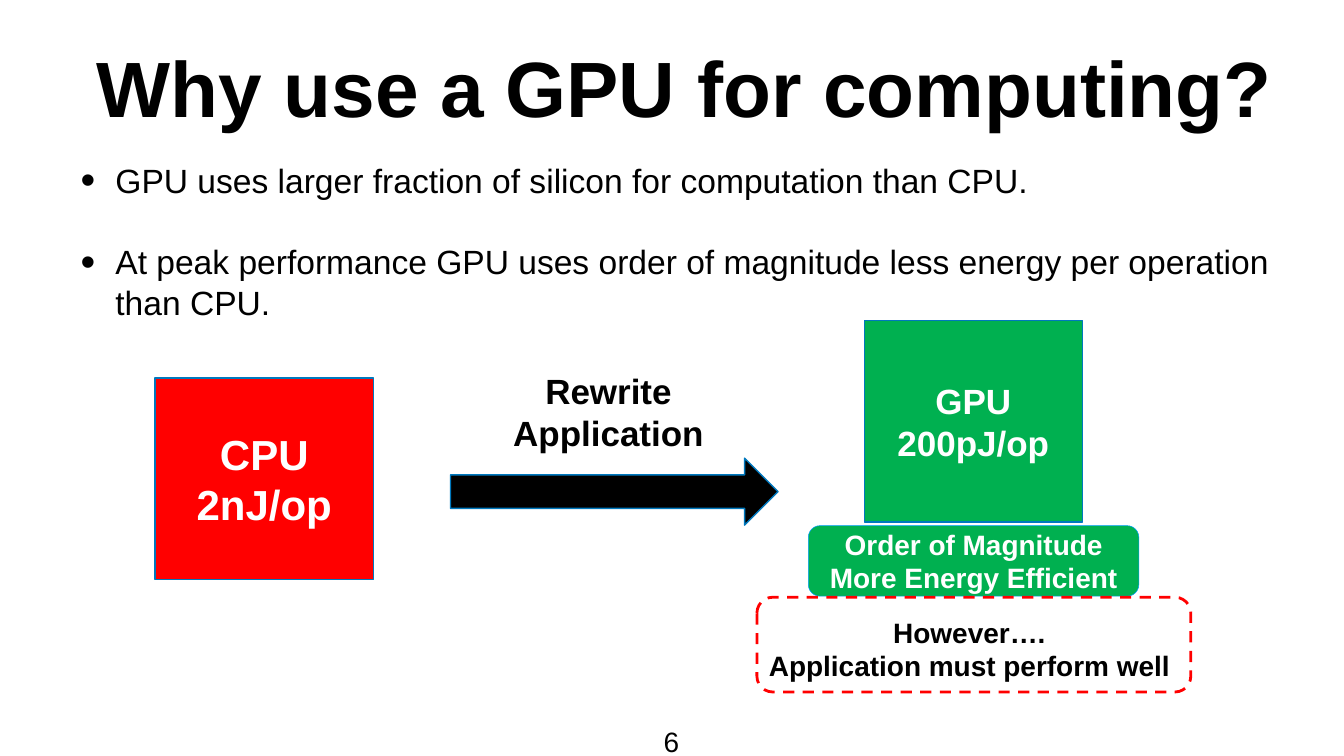
from dataclasses import dataclass
from typing import Optional

from lxml.etree import SubElement
from pptx import Presentation
from pptx.dml.color import RGBColor
from pptx.enum.dml import MSO_LINE
from pptx.enum.shapes import MSO_SHAPE
from pptx.enum.text import MSO_ANCHOR, MSO_AUTO_SIZE, PP_ALIGN
from pptx.oxml.ns import qn
from pptx.util import Inches, Pt

BLACK, WHITE, RED, GREEN = "000000", "FFFFFF", "FF0000", "00B050"
EDGE_BLUE, LIGHT_BLUE = "0078BD", "009EF9"
FONT = "Arial"
SMALL_INSET = 0.06
BULLET_INDENT = 0.69


@dataclass
class Box:
    left: float
    top: float
    width: float
    height: float


@dataclass
class Block:
    preset: MSO_SHAPE
    box: Box
    fill: Optional[str]
    line: str
    line_width: float
    text: str = ""
    size: float = 40
    dashed: bool = False


@dataclass
class Label:
    box: Box
    text: str
    size: float = 40
    bold: bool = True
    wrap: bool = True
    inset: Optional[float] = None


BLOCKS = [
    Block(MSO_SHAPE.RECTANGLE, Box(3.08, 7.5, 4.33, 4), RED, EDGE_BLUE, 2, "CPU\n2nJ/op", 60),
    Block(MSO_SHAPE.RECTANGLE, Box(17.15, 6.36, 4.33, 4), GREEN, EDGE_BLUE, 2, "GPU\n200pJ/op", 50),
    Block(MSO_SHAPE.RIGHT_ARROW, Box(8.94, 9.09, 6.5, 1.33), BLACK, EDGE_BLUE, 2),
    Block(MSO_SHAPE.ROUNDED_RECTANGLE, Box(16.04, 10.43, 6.56, 1.4), GREEN, LIGHT_BLUE, 0.75,
          "Order of Magnitude More Energy Efficient"),
    Block(MSO_SHAPE.ROUNDED_RECTANGLE, Box(15.02, 11.85, 8.61, 1.88), None, RED, 4, dashed=True),
]

LABELS = [
    Label(Box(13.11, 14.31, 0.42, 0.79), "6", bold=False, wrap=False, inset=SMALL_INSET),
    Label(Box(9.17, 7.29, 5.81, 1.78), "Rewrite Application", 50),
    Label(Box(14.89, 12.16, 8.69, 1.45), "However….\nApplication must perform well"),
]

BULLETS = [
    "GPU uses larger fraction of silicon for computation than CPU.",
    "At peak performance GPU uses order of magnitude less energy per operation than CPU.",
]


def color(value: str) -> RGBColor:
    return RGBColor.from_string(value)


def place(shape, box: Box) -> None:
    shape.left, shape.top = Inches(box.left), Inches(box.top)
    shape.width, shape.height = Inches(box.width), Inches(box.height)


def set_insets(text_frame, inset: float) -> None:
    text_frame.margin_left = text_frame.margin_right = Inches(inset)
    text_frame.margin_top = text_frame.margin_bottom = Inches(inset)


def format_text(text_frame, size: float, text_color: str, bold: bool, alignment: PP_ALIGN) -> None:
    for paragraph in text_frame.paragraphs:
        paragraph.alignment = alignment
        for run in paragraph.runs:
            run.font.name = FONT
            run.font.size = Pt(size)
            run.font.bold = bold
            run.font.color.rgb = color(text_color)


def fill_placeholder(shape, box: Box, text: str, size: float, bold: bool, anchor: MSO_ANCHOR) -> None:
    place(shape, box)
    text_frame = shape.text_frame
    text_frame.text = text
    text_frame.word_wrap = True
    text_frame.auto_size = MSO_AUTO_SIZE.NONE
    text_frame.vertical_anchor = anchor
    set_insets(text_frame, SMALL_INSET)
    format_text(text_frame, size, BLACK, bold, PP_ALIGN.LEFT)


def add_bullets(text_frame) -> None:
    for index, paragraph in enumerate(text_frame.paragraphs):
        paragraph.space_before = Pt(59 if index else 0)
        properties = paragraph._p.get_or_add_pPr()
        properties.set("marL", str(Inches(BULLET_INDENT)))
        properties.set("indent", str(-Inches(BULLET_INDENT)))
        SubElement(properties, qn("a:buSzPct")).set("val", "125000")
        SubElement(properties, qn("a:buFont")).set("typeface", FONT)
        SubElement(properties, qn("a:buChar")).set("char", "•")


def draw_block(slide, block: Block) -> None:
    shape = slide.shapes.add_shape(block.preset, 0, 0, 0, 0)
    place(shape, block.box)
    shape.shadow.inherit = False
    if block.fill:
        shape.fill.solid()
        shape.fill.fore_color.rgb = color(block.fill)
    else:
        shape.fill.background()
    shape.line.color.rgb = color(block.line)
    shape.line.width = Pt(block.line_width)
    if block.dashed:
        shape.line.dash_style = MSO_LINE.DASH
    if block.text:
        shape.text_frame.text = block.text
        shape.text_frame.word_wrap = True
        shape.text_frame.vertical_anchor = MSO_ANCHOR.MIDDLE
        format_text(shape.text_frame, block.size, WHITE, True, PP_ALIGN.CENTER)


def draw_label(slide, label: Label) -> None:
    shape = slide.shapes.add_textbox(0, 0, 0, 0)
    place(shape, label.box)
    text_frame = shape.text_frame
    text_frame.text = label.text
    text_frame.word_wrap = label.wrap
    if label.inset is not None:
        set_insets(text_frame, label.inset)
    format_text(text_frame, label.size, BLACK, label.bold, PP_ALIGN.CENTER)


def main() -> None:
    presentation = Presentation()
    presentation.slide_width, presentation.slide_height = Inches(26.67), Inches(15)
    slide = presentation.slides.add_slide(presentation.slide_layouts[1])
    fill_placeholder(slide.shapes.title, Box(1.86, 0.37, 24.56, 2.67),
                     "Why use a GPU for computing?", 112, True, MSO_ANCHOR.MIDDLE)
    body = slide.placeholders[1]
    fill_placeholder(body, Box(1.54, 3.11, 23.99, 10.57),
                     "\n".join(BULLETS), 48, False, MSO_ANCHOR.TOP)
    add_bullets(body.text_frame)
    for block in BLOCKS:
        draw_block(slide, block)
    for label in LABELS:
        draw_label(slide, label)
    presentation.save("out.pptx")


if __name__ == "__main__":
    main()
